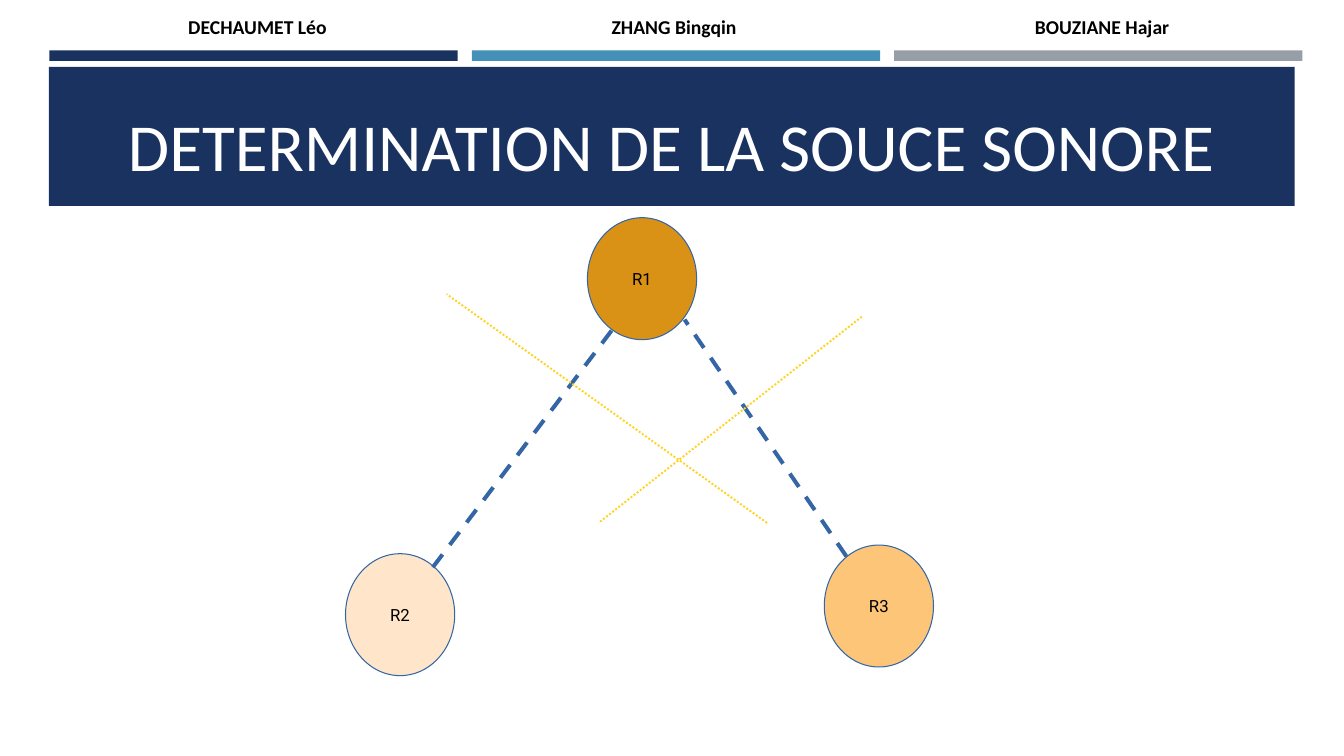
"""Build the slide on locating a sound source with three receivers."""
from dataclasses import dataclass

from lxml.etree import SubElement
from pptx import Presentation as new_presentation
from pptx.dml.color import RGBColor
from pptx.enum.dml import MSO_LINE_DASH_STYLE as Dash
from pptx.enum.shapes import MSO_CONNECTOR as Connector, MSO_SHAPE as Preset
from pptx.enum.text import MSO_ANCHOR as Anchor, MSO_AUTO_SIZE as AutoSize, PP_ALIGN as Align
from pptx.oxml.ns import qn
from pptx.shapes.autoshape import Shape
from pptx.slide import Slide
from pptx.text.text import TextFrame
from pptx.util import Pt

NAVY = "1A3260"
BLUE = "3465A4"
YELLOW = "FFD320"
BAR_LEFT, BAR_STEP = 35.3, 301.7
NAME_LEFT, NAME_STEP = 127.4, 302.4
RECEIVER_WIDTH, RECEIVER_HEIGHT = 78, 87.1


@dataclass(frozen=True)
class Author:
    name: str
    bar_color: str


@dataclass(frozen=True)
class Receiver:
    label: str
    left: float
    top: float
    color: str


@dataclass(frozen=True)
class LineStyle:
    color: str
    width: float
    dash: Dash


@dataclass(frozen=True)
class Segment:
    start: tuple[float, float]
    end: tuple[float, float]
    style: LineStyle


SIDE = LineStyle(BLUE, 2.86, Dash.DASH)
BISECTOR = LineStyle(YELLOW, 1.39, Dash.ROUND_DOT)

AUTHORS = [
    Author("DECHAUMET Léo", NAVY),
    Author("ZHANG Bingqin", "4590B8"),
    Author("BOUZIANE Hajar", "969FA7"),
]
RECEIVERS = [
    Receiver("R1", 419.6, 155.5, "D99116"),
    Receiver("R3", 588.8, 389.3, "FDC578"),
    Receiver("R2", 246.8, 395.5, "FFE5CA"),
]
SEGMENTS = [
    Segment((309.2, 405.2), (439.6, 232.5), SIDE),
    Segment((547.9, 373.5), (319, 210.1), BISECTOR),
    Segment((604.6, 397.4), (489, 228.3), SIDE),
    Segment((615.6, 226.2), (427.5, 373.5), BISECTOR),
]


def color(value: str) -> RGBColor:
    """Turn a hex string into a colour."""
    return RGBColor.from_string(value)


def write(frame: TextFrame, text: str, font_color: str, align: Align, formats: dict) -> None:
    """Write one formatted paragraph."""
    paragraph = frame.paragraphs[0]
    paragraph.text = text
    paragraph.alignment = align
    font = paragraph.runs[0].font
    font.color.rgb = color(font_color)
    for attribute, value in formats.items():
        setattr(font, attribute, value)


def add_filled(slide: Slide, preset: Preset, box: tuple[float, ...], fill: str) -> Shape:
    """Add a filled shape without outline or shadow."""
    shape = slide.shapes.add_shape(preset, *map(Pt, box))
    shape.shadow.inherit = False
    shape.fill.solid()
    shape.fill.fore_color.rgb = color(fill)
    shape.line.fill.background()
    return shape


def add_title(slide: Slide, text: str) -> None:
    """Fill the title placeholder and bring it above the banner."""
    title = slide.shapes.title
    box = {"left": 45.4, "top": 57.6, "width": 868.3, "height": 77.8}
    for attribute, value in box.items():
        setattr(title, attribute, Pt(value))
    frame = title.text_frame
    for attribute, value in {"vertical_anchor": Anchor.BOTTOM, "auto_size": AutoSize.NONE,
                             "word_wrap": True}.items():
        setattr(frame, attribute, value)
    write(frame, text, "FFFFFF", Align.CENTER,
          {"name": "Calibri", "size": Pt(48), "bold": False})
    title.element.getparent().append(title.element)


def add_receiver(slide: Slide, receiver: Receiver) -> None:
    """Add a labelled receiver."""
    box = (receiver.left, receiver.top, RECEIVER_WIDTH, RECEIVER_HEIGHT)
    shape = add_filled(slide, Preset.OVAL, box, receiver.color)
    shape.line.color.rgb = color(BLUE)
    shape.line.width = Pt(0)
    shape.text_frame.word_wrap = False
    shape.text_frame.vertical_anchor = Anchor.MIDDLE
    write(shape.text_frame, receiver.label, "000000", Align.CENTER,
          {"name": "Roboto", "size": Pt(12)})


def add_segment(slide: Slide, segment: Segment) -> None:
    """Add a dashed line."""
    connector = slide.shapes.add_connector(
        Connector.STRAIGHT, *map(Pt, segment.start + segment.end))
    connector.line.color.rgb = color(segment.style.color)
    connector.line.width = Pt(segment.style.width)
    connector.line.dash_style = segment.style.dash
    SubElement(connector.element.spPr, qn("a:effectLst"))


def add_author(slide: Slide, author: Author, index: int) -> None:
    """Add an author's name above the matching bar."""
    box = (NAME_LEFT + index * NAME_STEP, 7.2, 155.5, 24.5)
    frame = slide.shapes.add_textbox(*map(Pt, box)).text_frame
    frame.word_wrap = True
    frame.auto_size = AutoSize.SHAPE_TO_FIT_TEXT
    write(frame, author.name, "000000", Align.LEFT,
          {"name": "Calibri", "size": Pt(14), "bold": True})


def main() -> None:
    """Build and save the presentation."""
    presentation = new_presentation()
    presentation.slide_width = Pt(960)
    presentation.slide_height = Pt(540)
    slide = presentation.slides.add_slide(presentation.slide_layouts[5])
    for index, author in enumerate(AUTHORS):
        bar = (BAR_LEFT + index * BAR_STEP, 36, 291.6, 7.5)
        add_filled(slide, Preset.RECTANGLE, bar, author.bar_color)
    add_filled(slide, Preset.RECTANGLE, (34.9, 47.8, 889.9, 99.3), NAVY)
    add_title(slide, "DETERMINATION DE LA SOUCE SONORE")
    for receiver in RECEIVERS:
        add_receiver(slide, receiver)
    for segment in SEGMENTS:
        add_segment(slide, segment)
    for index, author in enumerate(AUTHORS):
        add_author(slide, author, index)
    presentation.save("out.pptx")


if __name__ == "__main__":
    main()
